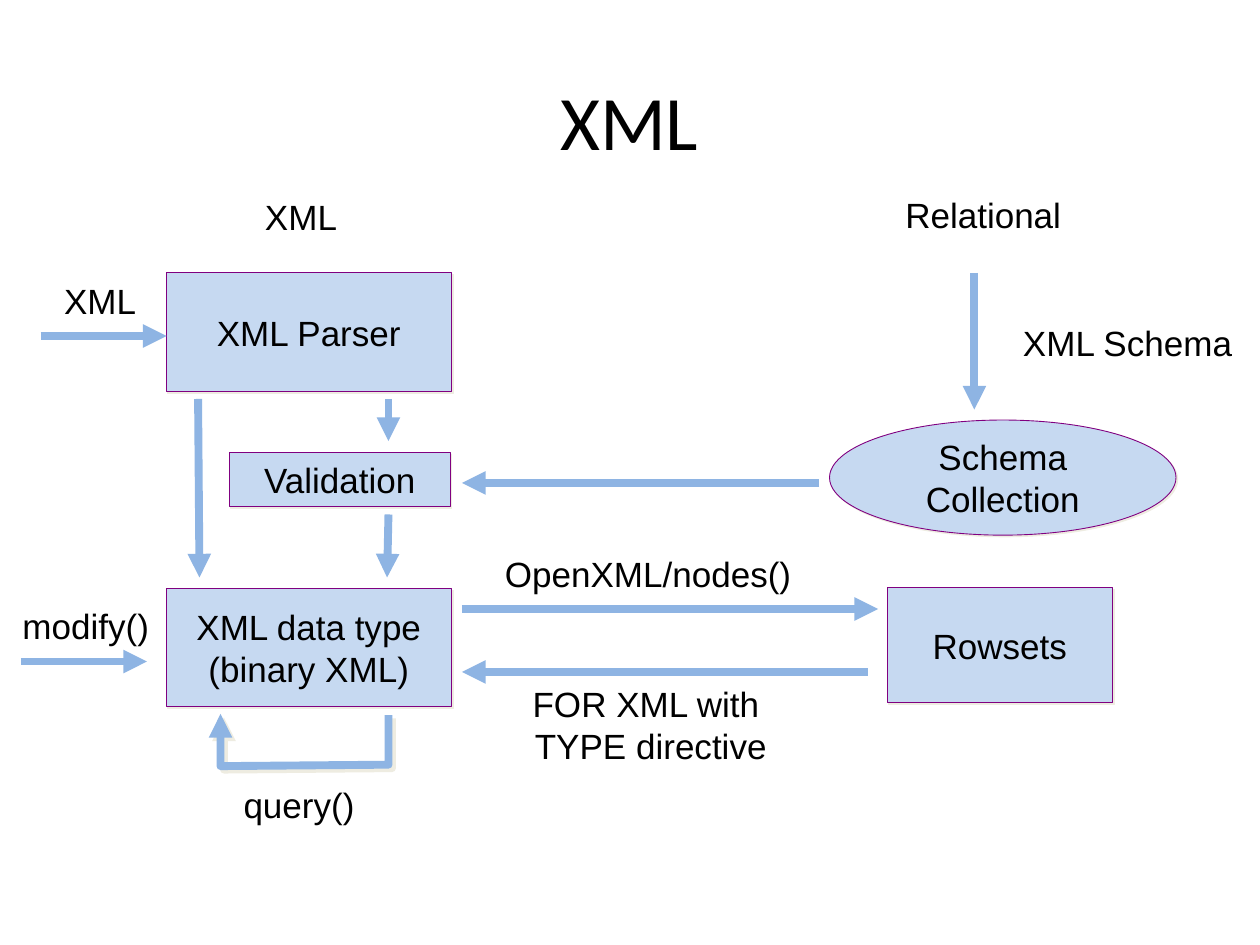
"""Build a slide showing how XML and relational data flow into each other."""
from lxml import etree
from pptx import Presentation
from pptx.dml.color import RGBColor
from pptx.enum.shapes import MSO_CONNECTOR, MSO_SHAPE
from pptx.enum.text import MSO_ANCHOR, MSO_AUTO_SIZE, PP_ALIGN
from pptx.oxml.ns import qn
from pptx.util import Pt

RECTANGLE, OVAL = MSO_SHAPE.RECTANGLE, MSO_SHAPE.OVAL
STRAIGHT = MSO_CONNECTOR.STRAIGHT
MIDDLE, CENTER = MSO_ANCHOR.MIDDLE, PP_ALIGN.CENTER
FIT_SHAPE = MSO_AUTO_SIZE.SHAPE_TO_FIT_TEXT
BLACK = RGBColor(0x00, 0x00, 0x00)
PALE_BLUE = RGBColor(0xC6, 0xD9, 0xF1)
ARROW_BLUE = RGBColor(0x8E, 0xB4, 0xE3)
PURPLE = RGBColor(0x80, 0x00, 0x80)
SHADOW = RGBColor(0xEE, 0xEC, 0xE1)


def write_text(frame, text, size=20, font="Arial"):
    para = frame.paragraphs[0]
    para.alignment = CENTER
    for index, line in enumerate(text.split("\n")):
        if index:
            para.add_line_break()
        span = para.add_run()
        span.text = line
        span.font.size = Pt(size)
        span.font.name = font
        span.font.color.rgb = BLACK


def add_shadow(shape, distance):
    shape.shadow.inherit = False
    effects = shape.element.spPr.find(qn("a:effectLst"))
    outer = etree.SubElement(effects, qn("a:outerShdw"), dist=str(Pt(distance)),
                             dir="2700000", algn="ctr", rotWithShape="0")
    etree.SubElement(outer, qn("a:srgbClr"), val=str(SHADOW))


deck = Presentation()
deck.slide_width, deck.slide_height = Pt(720), Pt(540)
page = deck.slides.add_slide(deck.slide_layouts[5])

title = page.shapes.title
title.left, title.top, title.width, title.height = Pt(36), Pt(21.6), Pt(647.3), Pt(93.6)
title.text_frame.vertical_anchor = MIDDLE
write_text(title.text_frame, "XML", 44, "Calibri")

builder = page.shapes.build_freeform(Pt(222), Pt(408.6), scale=1.0)
builder.add_line_segments([(Pt(222), Pt(437)), (Pt(126), Pt(437.8)), (Pt(126), Pt(408))],
                          close=False)
query_loop = builder.convert_to_shape()
query_loop.fill.background()
add_shadow(query_loop, 2.8)

nodes = [
    (RECTANGLE, 95, 155.8, 163, 68, "XML Parser"),
    (RECTANGLE, 131, 258.5, 126.3, 31, "Validation"),
    (RECTANGLE, 95, 336.2, 163, 67.5, "XML data type\n(binary XML)"),
    (OVAL, 474, 240, 198, 65.8, "Schema\nCollection"),
    (RECTANGLE, 507, 335.7, 128.6, 66, "Rowsets"),
]
for kind, left, top, width, height, text in nodes:
    node = page.shapes.add_shape(kind, Pt(left), Pt(top), Pt(width), Pt(height))
    node.fill.solid()
    node.fill.fore_color.rgb = PALE_BLUE
    node.line.color.rgb = PURPLE
    node.line.width = Pt(0.5)
    add_shadow(node, 1.4)
    node.text_frame.vertical_anchor = MIDDLE
    write_text(node.text_frame, text)

labels = [
    (28.5, 156, 57.4, 31.5, "XML"),
    (143.3, 108, 57.4, 31.5, "XML"),
    (509, 107, 105.7, 31.5, "Relational"),
    (576, 180, 136.6, 31.5, "XML Schema"),
    (279.9, 312, 181, 31.5, "OpenXML/nodes()"),
    (296, 386.6, 151.8, 55.4, "FOR XML with \nTYPE directive"),
    (4, 342, 90, 31.5, "modify()"),
    (131, 444.2, 79.8, 31.5, "query()"),
]
for left, top, width, height, text in labels:
    box = page.shapes.add_textbox(Pt(left), Pt(top), Pt(width), Pt(height))
    box.text_frame.word_wrap = False
    box.text_frame.auto_size = FIT_SHAPE
    write_text(box.text_frame, text)

routes = [
    (23.2, 192, 95.2, 192),
    (113.2, 228, 114, 330),
    (222, 228, 222, 252),
    (222, 294, 221.2, 330),
    (556.8, 156, 556.8, 234),
    (468, 276, 264, 276),
    (264, 348, 501.8, 348),
    (496, 384, 264, 384),
    (12, 378, 84, 378),
]
arrows = [query_loop]
for route in routes:
    arrow = page.shapes.add_connector(STRAIGHT, *[Pt(value) for value in route])
    arrows.append(arrow)

for arrow in arrows:
    arrow.line.color.rgb = ARROW_BLUE
    arrow.line.width = Pt(4.5)
    properties = arrow.element.spPr
    etree.SubElement(properties.find(qn("a:ln")), qn("a:tailEnd"), type="triangle")
    if properties.find(qn("a:effectLst")) is None:
        etree.SubElement(properties, qn("a:effectLst"))

deck.save("out.pptx")
